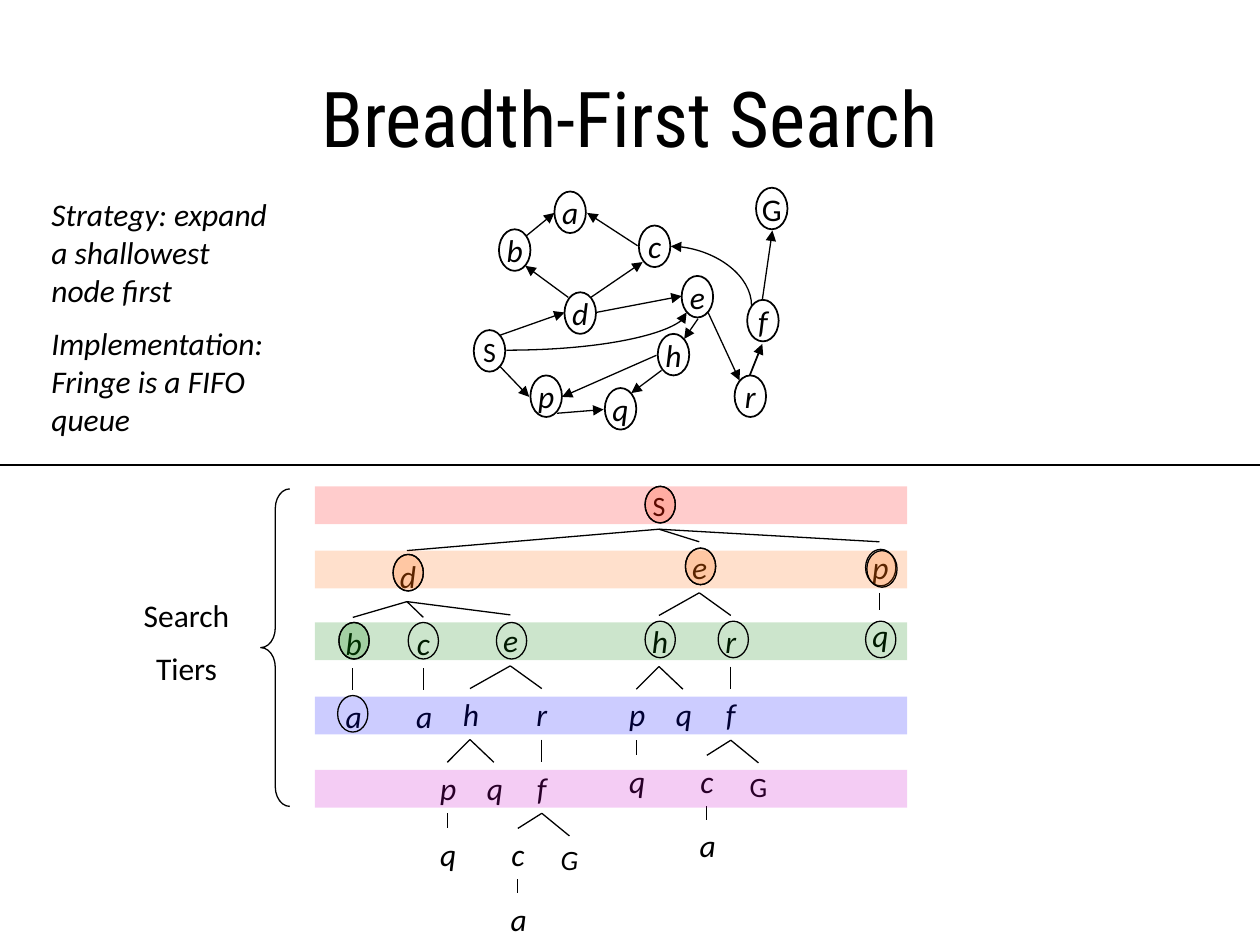
from dataclasses import dataclass
from typing import NamedTuple, Optional

from lxml.etree import SubElement
from pptx import Presentation
from pptx.dml.color import RGBColor
from pptx.enum.shapes import MSO_CONNECTOR as Connector, MSO_SHAPE as Shape
from pptx.enum.text import MSO_ANCHOR as Anchor, PP_ALIGN as Align
from pptx.oxml.ns import qn
from pptx.util import Inches, Pt

BLACK = RGBColor(0x00, 0x00, 0x00)
SCARLET = RGBColor(0xFF, 0x33, 0x00)
RED = RGBColor(0xFF, 0x00, 0x00)
ORANGE = RGBColor(0xFF, 0x66, 0x00)
GREEN = RGBColor(0x00, 0x80, 0x00)
BLUE = RGBColor(0x00, 0x00, 0xFF)
PURPLE = RGBColor(0xCC, 0x00, 0xCC)
BODY_FONT, TITLE_FONT = "Calibri", "Roboto Condensed"

# The slide is a grid of 100 columns by 75 rows; all lengths below count cells
COLUMNS, ROWS = 100, 75
presentation = Presentation()
presentation.slide_width, presentation.slide_height = Inches(10), Inches(7.5)
CELL = presentation.slide_width / COLUMNS
slide = presentation.slides.add_slide(presentation.slide_layouts[5])


class Box(NamedTuple):
    left: float
    top: float
    width: float
    height: float


class Arrow(NamedTuple):
    begin: tuple[float, float]
    end: tuple[float, float]
    weight: float = 0.75


@dataclass
class TreeNode:
    letter: str
    center: float
    top: float
    children: tuple["TreeNode", ...] = ()
    italic: bool = True


def cells(*counts: float) -> list[int]:
    return [round(count * CELL) for count in counts]


def write(shape, lines: list[str], size: float, align, italic: bool = False,
          font: str = BODY_FONT) -> None:
    frame = shape.text_frame
    frame.text = "\n".join(lines)
    for index, paragraph in enumerate(frame.paragraphs):
        paragraph.alignment = align
        if index:
            paragraph.space_before = Pt(size / 2)
        for run in paragraph.runs:
            run.font.name, run.font.size = font, Pt(size)
            run.font.italic = italic
            run.font.color.rgb = BLACK


def add_text(box: Box, lines: list[str], size: float = 18, align=Align.CENTER,
             italic: bool = False):
    shape = slide.shapes.add_textbox(*cells(*box))
    shape.text_frame.word_wrap = True
    write(shape, lines, size, align, italic)
    return shape


def add_outline(kind, box: Box, fill: Optional[RGBColor] = None,
                weight: Optional[float] = 0.75):
    """Draw a preset shape, its fill (if any) 20% opaque."""
    shape = slide.shapes.add_shape(kind, *cells(*box))
    shape.shadow.inherit = False
    if fill is None:
        shape.fill.background()
    else:
        shape.fill.solid()
        shape.fill.fore_color.rgb = fill
        color = shape._element.spPr.find(f"{qn('a:solidFill')}/{qn('a:srgbClr')}")
        SubElement(color, qn("a:alpha"), val="20000")
    if weight is None:
        shape.line.fill.background()
    else:
        shape.line.color.rgb, shape.line.width = BLACK, Pt(weight)
    return shape


def add_line(line: Arrow, head: bool = False, kind=Connector.STRAIGHT):
    connector = slide.shapes.add_connector(kind, *cells(*line.begin, *line.end))
    connector.line.color.rgb, connector.line.width = BLACK, Pt(line.weight)
    properties = connector._element.spPr
    if head:
        SubElement(properties.find(qn("a:ln")), qn("a:tailEnd"), type="triangle")
    SubElement(properties, qn("a:effectLst"))
    return connector


def add_curve(line: Arrow, rotation: int = 0) -> None:
    """Draw a quarter-bend arrow, turned by whole degrees."""
    properties = add_line(line, True, Connector.CURVE)._element.spPr
    properties.find(qn("a:prstGeom")).set("prst", "curvedConnector2")
    properties.find(qn("a:xfrm")).set("rot", str(rotation * 60000))


def add_tree(node: TreeNode):
    """Draw a node and its subtree, joined from bottom to top."""
    capital = node.letter.isupper()
    width, height, size = (6.2, 3.7, 16) if capital else (3.1, 4.05, 18)
    parent = add_text(Box(node.center - width / 2, node.top, width, height),
                      [node.letter], size, italic=node.italic)
    for child_node in node.children:
        child = add_tree(child_node)
        edge = add_line(Arrow((node.center, node.top + height),
                              (child_node.center, child_node.top)))
        edge.begin_connect(parent, 2)
        edge.end_connect(child, 0)
    return parent


def expand_e(x: float, y: float, italic_goal: bool) -> TreeNode:
    """The subtree below e, which occurs twice in the search tree."""
    return TreeNode("e", x, y, (
        TreeNode("h", x - 3.2, y + 5.85, (
            TreeNode("p", x - 5, y + 11.7, (TreeNode("q", x - 5, y + 16.95),)),
            TreeNode("q", x - 1.3, y + 11.7))),
        TreeNode("r", x + 2.5, y + 5.85, (
            TreeNode("f", x + 2.5, y + 11.7, (
                TreeNode("c", x + 0.6, y + 16.95, (TreeNode("a", x + 0.6, y + 22.1),)),
                TreeNode("G", x + 4.7, y + 17.55, italic=italic_goal))),))))


# Title
title = slide.shapes.title
title.left, title.top, title.width, title.height = cells(5, 3, 90, 12.5)
title.text_frame.vertical_anchor = Anchor.MIDDLE
write(title, ["Breadth-First Search"], 44, Align.CENTER, font=TITLE_FONT)

# Search tree
add_tree(TreeNode("S", 52.3, 38.3, (
    TreeNode("d", 32.3, 43.7, (
        TreeNode("b", 28, 49, (TreeNode("a", 28, 54.8),)),
        TreeNode("c", 33.6, 49, (TreeNode("a", 33.6, 54.8),)),
        expand_e(40.5, 48.8, True))),
    expand_e(55.5, 43, False),
    TreeNode("p", 69.8, 43, (TreeNode("q", 69.8, 48.4),))), italic=False))

# State graph
GRAPH_NODES = {
    "S": (37.6, 26.2), "G": (60, 14.9), "d": (44.8, 23.2), "b": (39.6, 18.2),
    "p": (42.1, 29.8), "q": (48, 30.8), "c": (50.7, 17.9), "e": (54.1, 21.9),
    "h": (52.2, 26.5), "a": (44, 15.2), "f": (59.3, 23.8), "r": (58.3, 29.8),
}
GRAPH_ARROWS = [
    Arrow((39.7, 29.1), (42, 31.5)), Arrow((44.2, 32.8), (47.9, 32.5)),
    Arrow((52.5, 29.4), (50.1, 31.2)), Arrow((52.1, 28.2), (44.6, 31.5)),
    Arrow((55.4, 25.3), (54.3, 26.9)), Arrow((56.2, 24.8), (58.7, 30.2)),
    Arrow((59.5, 29.8), (60.5, 27.3), 1), Arrow((60.5, 23.8), (61.3, 18.3)),
    Arrow((39.7, 26.6), (44.8, 24.8)), Arrow((45.1, 23.6), (41.7, 21.1)),
    Arrow((41.8, 18.7), (44, 16.9)), Arrow((50.6, 19.5), (46.6, 16.9)),
    Arrow((46.9, 23.6), (51, 20.8)), Arrow((47.3, 24.8), (54.1, 23.5)),
]
for letter, (left, top) in GRAPH_NODES.items():
    node_shape = add_outline(Shape.FLOWCHART_CONNECTOR, Box(left, top, 2.5, 3.3), weight=1)
    node_shape.text_frame.word_wrap = False
    node_shape.text_frame.vertical_anchor = Anchor.MIDDLE
    write(node_shape, [letter], 16 if letter == "S" else 18, Align.CENTER, letter.islower())
for arrow in GRAPH_ARROWS:
    add_line(arrow, head=True)
add_curve(Arrow((58.8, 18.7), (54.1, 25.1)), rotation=90)
add_curve(Arrow((40.2, 27.8), (54.5, 24.8)))

# Search tiers
TIERS = [(38.6, RED), (43.7, ORANGE), (49.4, GREEN), (55.3, BLUE), (61.1, PURPLE)]
for top, color in TIERS:
    add_outline(Shape.RECTANGLE, Box(25, top, 47, 3), color, None)
brace = add_outline(Shape.LEFT_BRACE, Box(20.7, 38.8, 2.3, 25.2))
brace.adjustments[0], brace.adjustments[1] = 0.68, 0.5
add_text(Box(9.9, 46.8, 9.8, 8.6), ["Search", "Tiers"])

# Rings around reached nodes, then tints on the expanded ones
RINGS = [(51.2, 38.6), (31.2, 44), (54.4, 43.5), (68.7, 43.6), (26.9, 49.4), (32.4, 49.4),
         (39.4, 49.4), (51.2, 49.3), (57, 49.3), (68.7, 49.3), (26.8, 55.2)]
TINTS = [(51.2, 38.6, SCARLET), (31.2, 44, ORANGE), (54.4, 43.5, ORANGE),
         (68.8, 43.7, ORANGE), (26.9, 49.4, GREEN)]
for left, top, *tint in RINGS + TINTS:
    add_outline(Shape.OVAL, Box(left, top, 2.4, 2.9), *tint)

# Divider and strategy notes
add_line(Arrow((0, 36.9), (COLUMNS, 36.9)))
add_text(Box(3.1, 15, 19.4, 20.7),
         ["Strategy: expand a shallowest node first", "Implementation: Fringe is a FIFO queue"],
         align=Align.LEFT, italic=True)

presentation.save("out.pptx")
